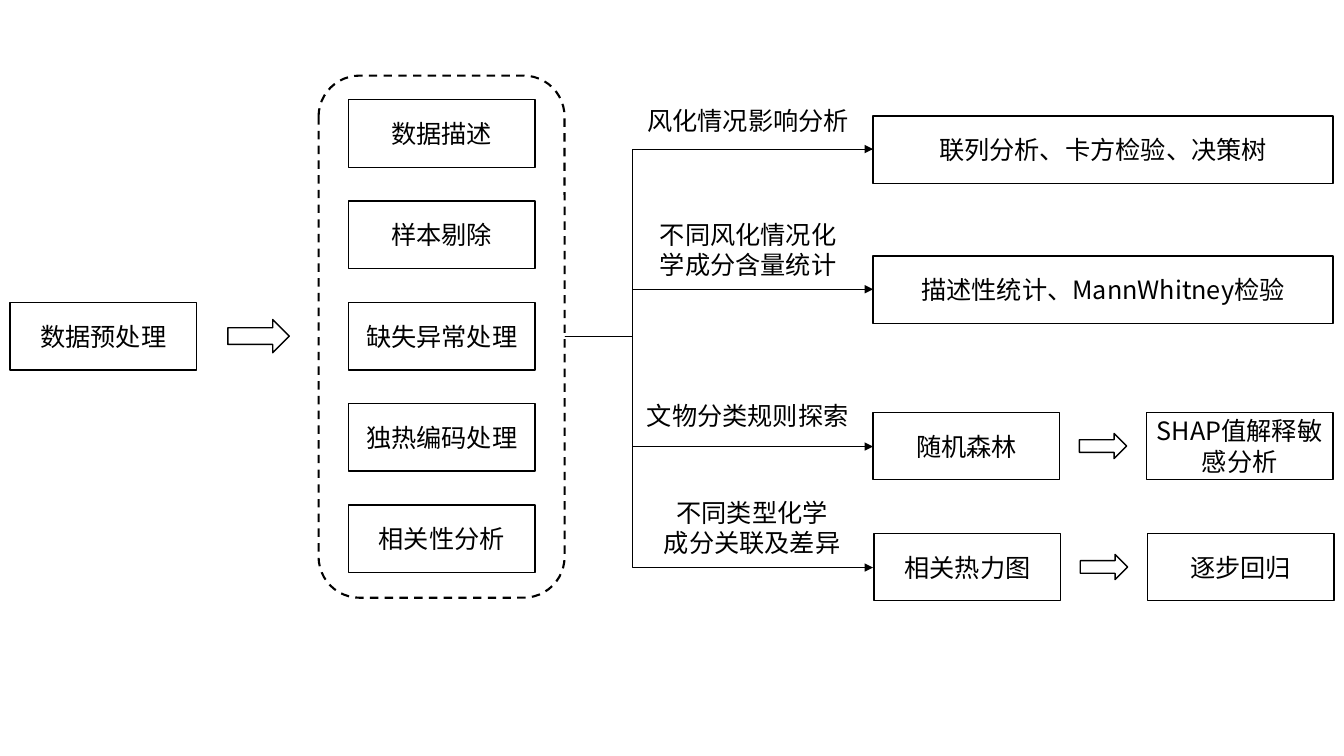
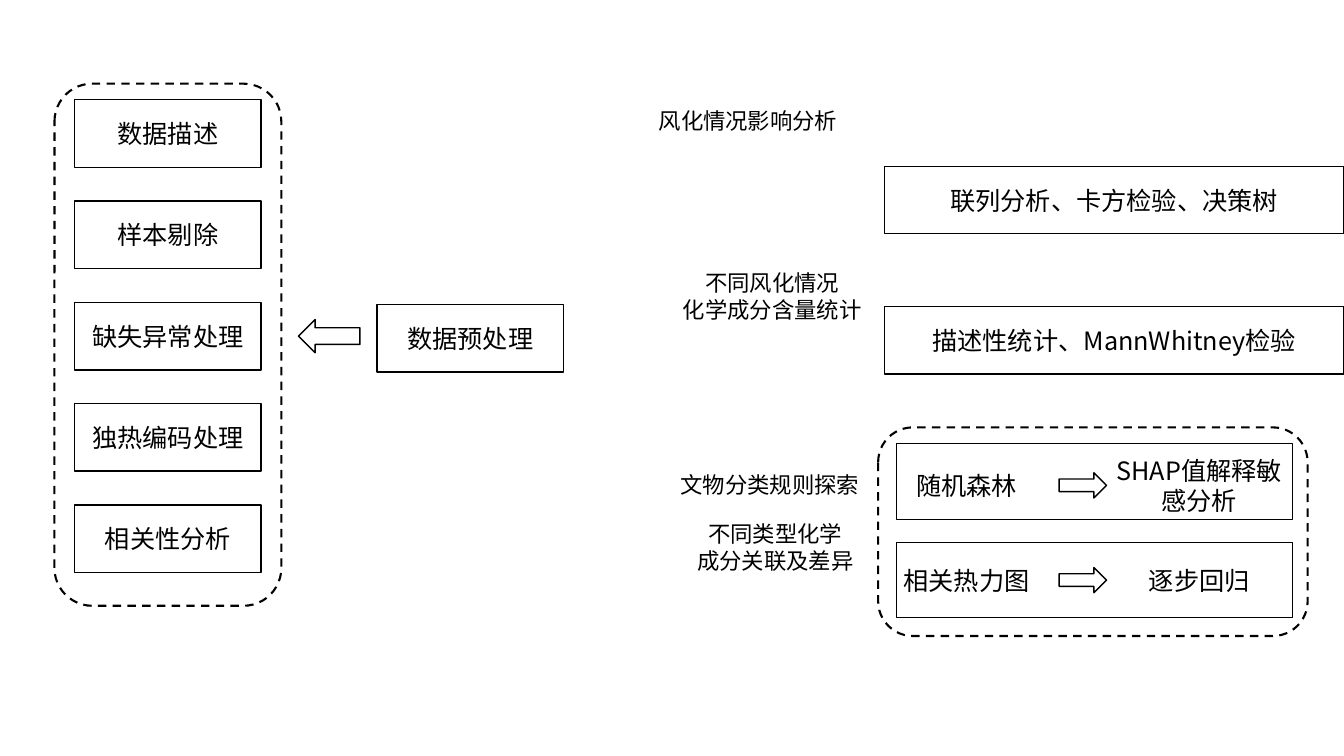
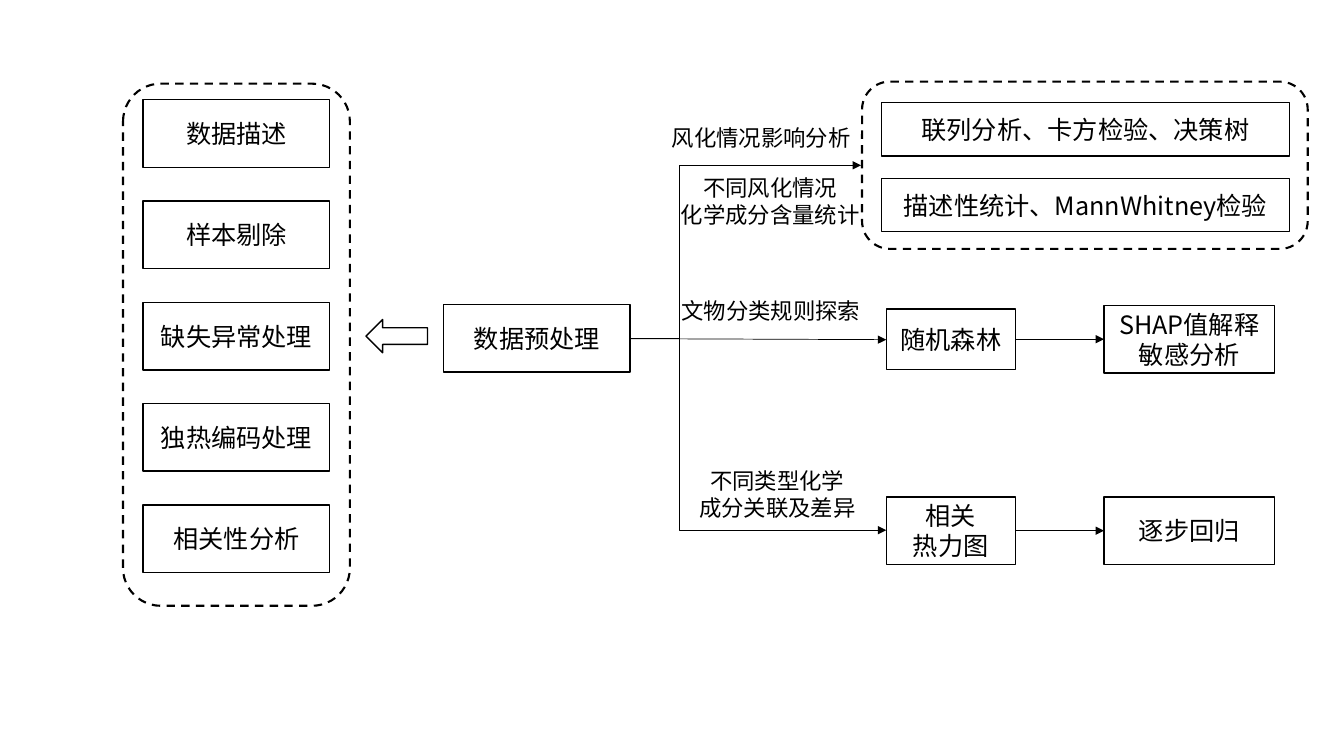
from lxml.etree import SubElement
from pptx import Presentation
from pptx.dml.color import RGBColor
from pptx.enum.dml import MSO_LINE
from pptx.enum.shapes import MSO_CONNECTOR as LINK, MSO_SHAPE as SHAPE
from pptx.enum.text import MSO_ANCHOR, PP_ALIGN
from pptx.oxml.ns import qn
from pptx.util import Inches, Pt

COLS, ROWS = 13.33, 7.5
INK, PAPER = "000000", "FFFFFF"
FONT = "Noto Sans CJK SC"
BOX_W, BOX_H = 1.85, 0.67
STEP_PITCH = 1.005
START = "数据预处理"
STEPS = ["数据描述", "样本剔除", "缺失异常处理", "独热编码处理", "相关性分析"]
WEATHERING = "风化情况影响分析"
CONTENT = "不同风化情况\n化学成分含量统计"
RULES = "文物分类规则探索"
RELATIONS = "不同类型化学\n成分关联及差异"
TESTS = ["联列分析、卡方检验、决策树", "描述性统计、MannWhitney检验"]
FOREST = ["随机森林", "SHAP值解释敏感分析"]
HEATMAP = ["相关热力图", "逐步回归"]


def color(value):
    """Turn a hex string into a colour."""
    return RGBColor.from_string(value)


def grid(*cells):
    """Turn grid columns and rows into lengths."""
    return [Inches(c) for c in cells]


def outline(s, box, kind=SHAPE.RECTANGLE, width=1.0, dash=None, fill=None):
    """Draw a shape with an optional fill and an optional line."""
    sp = s.shapes.add_shape(kind, *grid(*box))
    sp.shadow.inherit = False
    if fill:
        sp.fill.solid()
        sp.fill.fore_color.rgb = color(fill)
    else:
        sp.fill.background()
    if width:
        sp.line.color.rgb = color(INK)
        sp.line.width = Pt(width)
        sp.line.dash_style = dash
    else:
        sp.line.fill.background()
    return sp


def label(s, box, text, size=18, width=1.0):
    """Draw a white box with centred text, one paragraph per line."""
    tf = outline(s, box, width=width, fill=PAPER).text_frame
    tf.word_wrap = True
    tf.vertical_anchor = MSO_ANCHOR.MIDDLE
    for i, line in enumerate(text.split("\n")):
        p = tf.paragraphs[0] if i == 0 else tf.add_paragraph()
        p.alignment = PP_ALIGN.CENTER
        r = p.add_run()
        r.text = line
        r.font.size = Pt(size)
        r.font.color.rgb = color(INK)
        r.font.name = FONT
        SubElement(r.font._element, qn("a:ea"), typeface=FONT)


def captions(s, items, size):
    """Write the borderless captions of the branches."""
    for box, text in items:
        label(s, box, text, size, width=0)


def frame(s, box):
    """Draw a dashed rounded frame."""
    outline(s, box, SHAPE.ROUNDED_RECTANGLE, 1.5, MSO_LINE.DASH)


def link(s, start, end, bend_x=None):
    """Draw a thin arrow, straight or bent at a column."""
    kind = LINK.STRAIGHT if bend_x is None else LINK.ELBOW
    c = s.shapes.add_connector(kind, *grid(*start, *end))
    c.line.color.rgb = color(INK)
    c.line.width = Pt(0.5)
    SubElement(c.line._get_or_add_ln(), qn("a:tailEnd"), type="triangle")
    SubElement(c._element.spPr, qn("a:effectLst"))
    if bend_x is not None:
        share = round((bend_x - start[0]) / (end[0] - start[0]) * 100000)
        guides = c._element.spPr.find(qn("a:prstGeom")).get_or_add_avLst()
        SubElement(guides, qn("a:gd"), name="adj1", fmla=f"val {share}")


def steps_panel(s, box, top):
    """Stack the processing steps, centred across a dashed frame."""
    x, y, w, h = box
    for i, step in enumerate(STEPS):
        label(s, (x + (w - BOX_W) / 2, y + top + i * STEP_PITCH, BOX_W, BOX_H), step)
    frame(s, box)


def start_box(s, x, y, arrow_x, kind):
    """Draw the starting box and the block arrow to the steps."""
    label(s, (x, y, BOX_W, BOX_H), START)
    outline(s, (arrow_x, 3.17, 0.61, 0.33), kind)


def tests(s, box, row_h, pitch):
    """Stack the two statistical test boxes."""
    x, y, w = box
    for i, text in enumerate(TESTS):
        label(s, (x, y + i * pitch, w, row_h), text)


def pair(s, box, texts, sizes=((BOX_W, BOX_H),) * 2, width=1.0, thin=False):
    """Set two boxes at the ends of a band with an arrow between them."""
    x, y, w, h = box
    (w1, h1), (w2, h2) = sizes
    mid = y + h / 2
    label(s, (x, mid - h1 / 2, w1, h1), texts[0], width=width)
    label(s, (x + w - w2, mid - h2 / 2, w2, h2), texts[1], width=width)
    if thin:
        link(s, (x + w1, mid), (x + w - w2, mid))
    else:
        center = x + (w1 + w - w2) / 2
        outline(s, (center - 0.235, mid - 0.125, 0.47, 0.25), SHAPE.RIGHT_ARROW)


def branched_flow(s):
    """Build the flow that runs from left to right in four branches."""
    captions(s, [((6.2, 0.86, 2.44, 0.67), WEATHERING),
                 ((6.44, 2.14, 1.96, 0.67), "不同风化情况化学成分含量统计"),
                 ((6.29, 3.79, 2.25, 0.67), RULES),
                 ((6.48, 4.9, 1.96, 0.67), RELATIONS)], 18)
    tests(s, (8.66, 1.15, 4.56), BOX_H, 1.39)
    pair(s, (8.66, 4.09, 4.56, BOX_H), FOREST)
    pair(s, (8.67, 5.29, 4.56, BOX_H), HEATMAP)
    steps_panel(s, (3.16, 0.75, 2.44, 5.18), 0.24)
    start_box(s, 0.1, 3, 2.26, SHAPE.RIGHT_ARROW)
    for y in (1.48, 2.87, 4.43, 5.63):
        link(s, (5.6, 3.34), (8.66, y), 6.27)


def grouped_parts(s):
    """Build the loose parts with the two models grouped."""
    captions(s, [((6.2, 0.86, 2.44, 0.67), WEATHERING),
                 ((6.56, 2.6, 2.2, 0.67), CONTENT),
                 ((6.61, 4.47, 2.05, 0.67), RULES),
                 ((6.71, 5.09, 1.96, 0.67), RELATIONS)], 16)
    tests(s, (8.77, 1.65, 4.56), BOX_H, 1.39)
    for y, band_y, texts in ((4.48, 4.4, FOREST), (5.42, 5.38, HEATMAP)):
        pair(s, (8.66, y, 4.16, BOX_H), texts, width=0)
        outline(s, (8.89, band_y, 3.93, 0.75), width=0.5)
    frame(s, (8.71, 4.24, 4.26, 2.07))
    steps_panel(s, (0.54, 0.83, 2.25, 5.18), 0.16)
    start_box(s, 3.74, 3.02, 2.96, SHAPE.LEFT_ARROW)


def centred_flow(s):
    """Build the flow that starts in the middle in three branches."""
    captions(s, [((6.33, 1.1, 2.44, 0.53), WEATHERING),
                 ((6.54, 1.66, 2.2, 0.67), CONTENT),
                 ((6.62, 2.75, 2.05, 0.67), RULES),
                 ((6.73, 4.57, 1.96, 0.67), RELATIONS)], 16)
    tests(s, (8.74, 1.02, 4.05), 0.53, 0.75)
    frame(s, (8.55, 0.81, 4.42, 1.66))
    pair(s, (8.79, 3.03, 3.85, BOX_H), FOREST,
         ((1.28, 0.6), (1.69, BOX_H)), thin=True)
    pair(s, (8.79, 4.93, 3.85, BOX_H), ["相关\n热力图", HEATMAP[1]],
         ((1.28, BOX_H), (1.69, BOX_H)), thin=True)
    steps_panel(s, (1.22, 0.83, 2.25, 5.18), 0.16)
    start_box(s, 4.4, 3.02, 3.63, SHAPE.LEFT_ARROW)
    link(s, (6.25, 3.36), (8.54, 1.64), 6.74)
    link(s, (6.25, 3.36), (8.79, 3.37))
    link(s, (6.25, 3.36), (8.79, 5.26), 6.74)


def main():
    """Build and save the presentation."""
    prs = Presentation()
    prs.slide_width, prs.slide_height = grid(COLS, ROWS)
    for build in (branched_flow, grouped_parts, centred_flow):
        build(prs.slides.add_slide(prs.slide_layouts[6]))
    prs.save("out.pptx")


if __name__ == "__main__":
    main()
